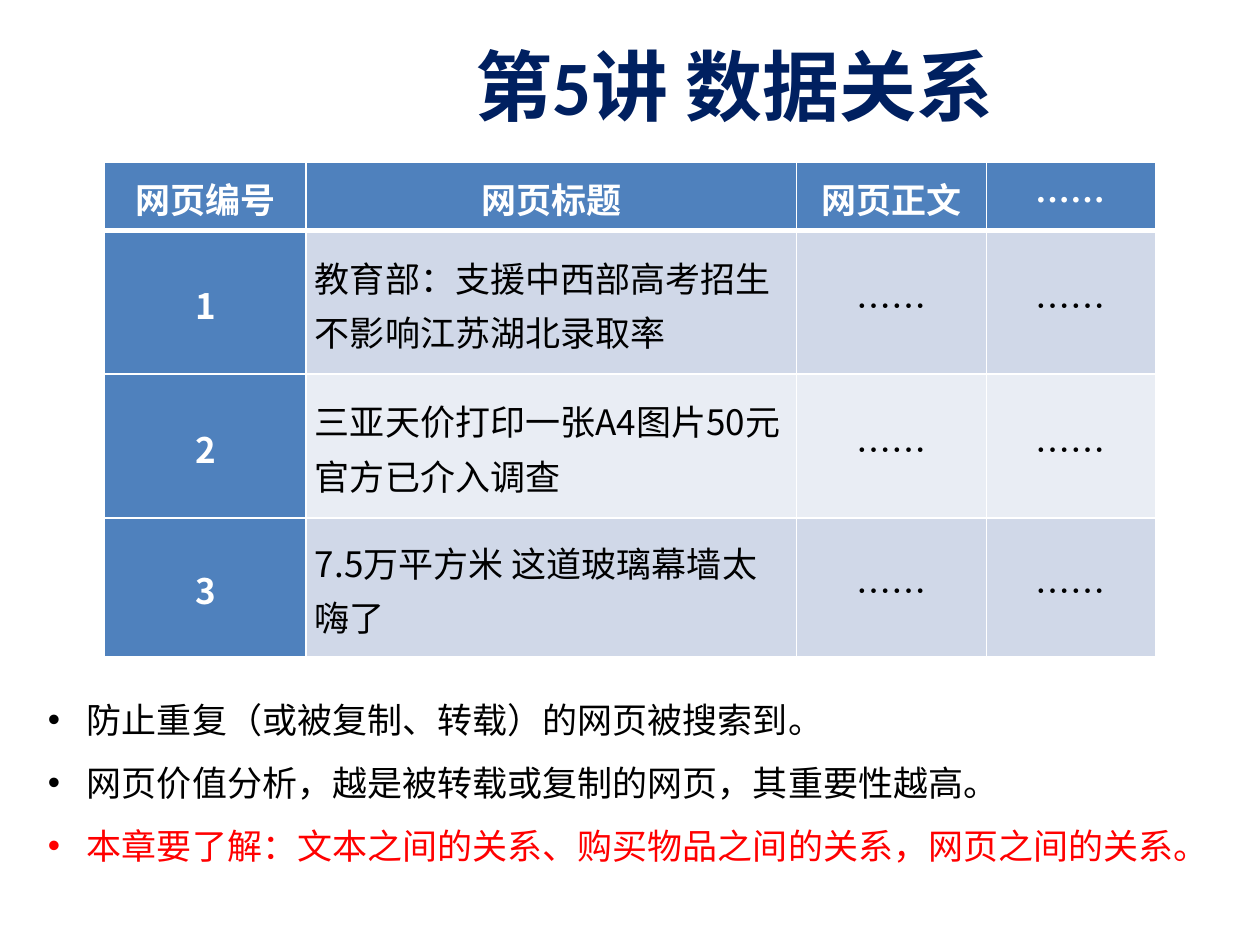
from dataclasses import dataclass

from lxml.etree import SubElement
from pptx import Presentation
from pptx.dml.color import RGBColor
from pptx.enum.text import MSO_ANCHOR as Anchor, MSO_AUTO_SIZE as AutoSize, PP_ALIGN as Align
from pptx.oxml import parse_xml
from pptx.oxml.ns import nsdecls, qn
from pptx.util import Pt

SCALE = 9144


@dataclass(frozen=True)
class Theme:
    title_font: str = "Calibri"
    body_font: str = "Noto Sans CJK SC"
    title_size: int = 44
    body_size: int = 20
    navy: str = "002060"
    blue: str = "4F81BD"
    band_dark: str = "D0D8E8"
    band_light: str = "E9EDF4"
    white: str = "FFFFFF"
    black: str = "000000"
    red: str = "FF0000"


THEME = Theme()
COLUMN_WIDTHS = [160, 389, 151, 134]
ROW_HEIGHTS = [54, 114, 114, 110]
ROWS = [
    ["网页编号", "网页标题", "网页正文", "……"],
    ["1", "教育部：支援中西部高考招生不影响江苏湖北录取率", "……", "……"],
    ["2", "三亚天价打印一张A4图片50元 官方已介入调查", "……", "……"],
    ["3", "7.5万平方米 这道玻璃幕墙太嗨了", "……", "……"],
]
POINTS = [
    ("防止重复（或被复制、转载）的网页被搜索到。", THEME.black, Align.JUSTIFY),
    ("网页价值分析，越是被转载或复制的网页，其重要性越高。", THEME.black, Align.LEFT),
    ("本章要了解：文本之间的关系、购买物品之间的关系，网页之间的关系。", THEME.red, Align.LEFT),
]


def px(length):
    return int(length * SCALE)


def place(shape, box):
    shape.left, shape.top, shape.width, shape.height = map(px, box)


def write(para, text, *, color, size=THEME.body_size, font=THEME.body_font,
          bold=False, align=Align.LEFT, spacing=1.0):
    para.alignment = align
    para.line_spacing = spacing
    para.space_before = Pt(0)
    span = para.add_run()
    span.text = text
    span.font.name = font
    span.font.size = Pt(size)
    span.font.bold = bold
    span.font.color.rgb = RGBColor.from_string(color)
    SubElement(span.font._element, qn("a:ea")).set("typeface", THEME.body_font)


def add_bullet(para, indent):
    properties = para._p.get_or_add_pPr()
    properties.set("marL", str(px(indent)))
    properties.set("indent", str(-px(indent)))
    properties.append(parse_xml(f'<a:buFont {nsdecls("a")} typeface="Arial"/>'))
    properties.append(parse_xml(f'<a:buChar {nsdecls("a")} char="•"/>'))


def set_borders(cell, **widths):
    properties = cell._tc.get_or_add_tcPr()
    for index, side in enumerate("LRTB"):
        line = parse_xml(
            f'<a:ln{side} {nsdecls("a")} w="{Pt(widths.get(side, 1))}">'
            f'<a:solidFill><a:srgbClr val="{THEME.white}"/></a:solidFill></a:ln{side}>')
        properties.insert(index, line)


def build_title(page, box, text):
    title = page.shapes.title
    place(title, box)
    title.text_frame.vertical_anchor = Anchor.MIDDLE
    write(title.text_frame.paragraphs[0], text, color=THEME.navy,
          size=THEME.title_size, font=THEME.title_font, bold=True)


def format_cell(cell, text, row, column):
    heading = row == 0 or column == 0
    band = THEME.band_dark if row % 2 else THEME.band_light
    cell.fill.solid()
    cell.fill.fore_color.rgb = RGBColor.from_string(THEME.blue if heading else band)
    cell.vertical_anchor = Anchor.MIDDLE
    cell.margin_left = cell.margin_right = px(7)
    cell.margin_top = cell.margin_bottom = 0
    write(cell.text_frame.paragraphs[0], text,
          color=THEME.white if heading else THEME.black, bold=heading,
          align=Align.LEFT if column == 1 and row else Align.CENTER, spacing=1.07)
    set_borders(cell, T=3 if row == 1 else 1, B=3 if row == 0 else 1)


def build_table(page, box, rows):
    table = page.shapes.add_table(len(rows), len(rows[0]), *map(px, box)).table
    table.first_row = table.horz_banding = False
    for column, width in zip(table.columns, COLUMN_WIDTHS):
        column.width = px(width)
    for row, height in zip(table.rows, ROW_HEIGHTS):
        row.height = px(height)
    for row, texts in enumerate(rows):
        for column, text in enumerate(texts):
            format_cell(table.cell(row, column), text, row, column)


def build_points(page, box, points):
    body = page.placeholders[1]
    place(body, box)
    frame = body.text_frame
    frame.auto_size = AutoSize.SHAPE_TO_FIT_TEXT
    for index, (text, color, align) in enumerate(points):
        para = frame.add_paragraph() if index else frame.paragraphs[0]
        add_bullet(para, 31)
        write(para, text, color=color, align=align, spacing=1.5)


def main():
    deck = Presentation()
    deck.slide_width, deck.slide_height = px(1000), px(750)
    page = deck.slides.add_slide(deck.slide_layouts[1])
    build_title(page, (367, 17, 567, 100), "第5讲 数据关系")
    build_table(page, (83, 129, sum(COLUMN_WIDTHS), sum(ROW_HEIGHTS)), ROWS)
    build_points(page, (28, 533, 927, 162), POINTS)
    deck.save("out.pptx")


if __name__ == "__main__":
    main()
